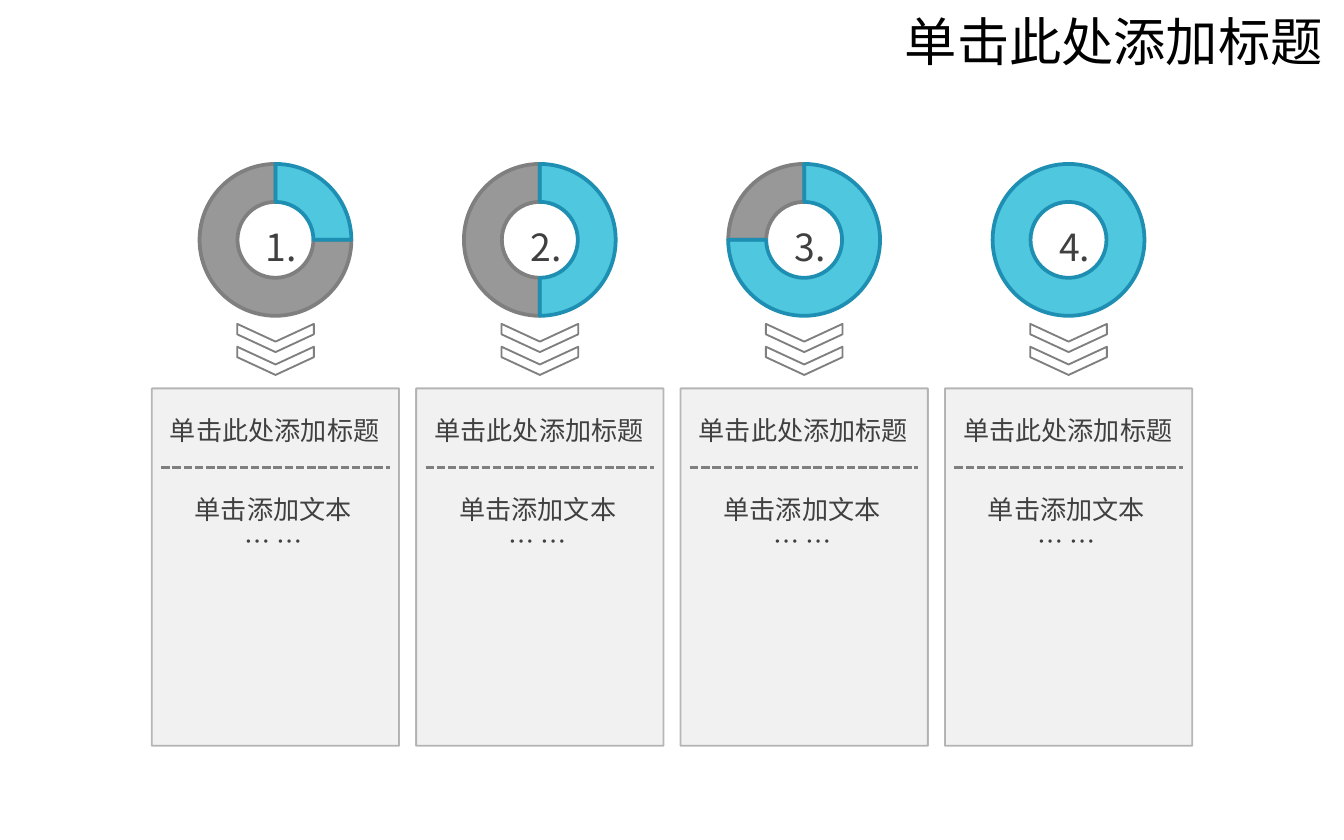
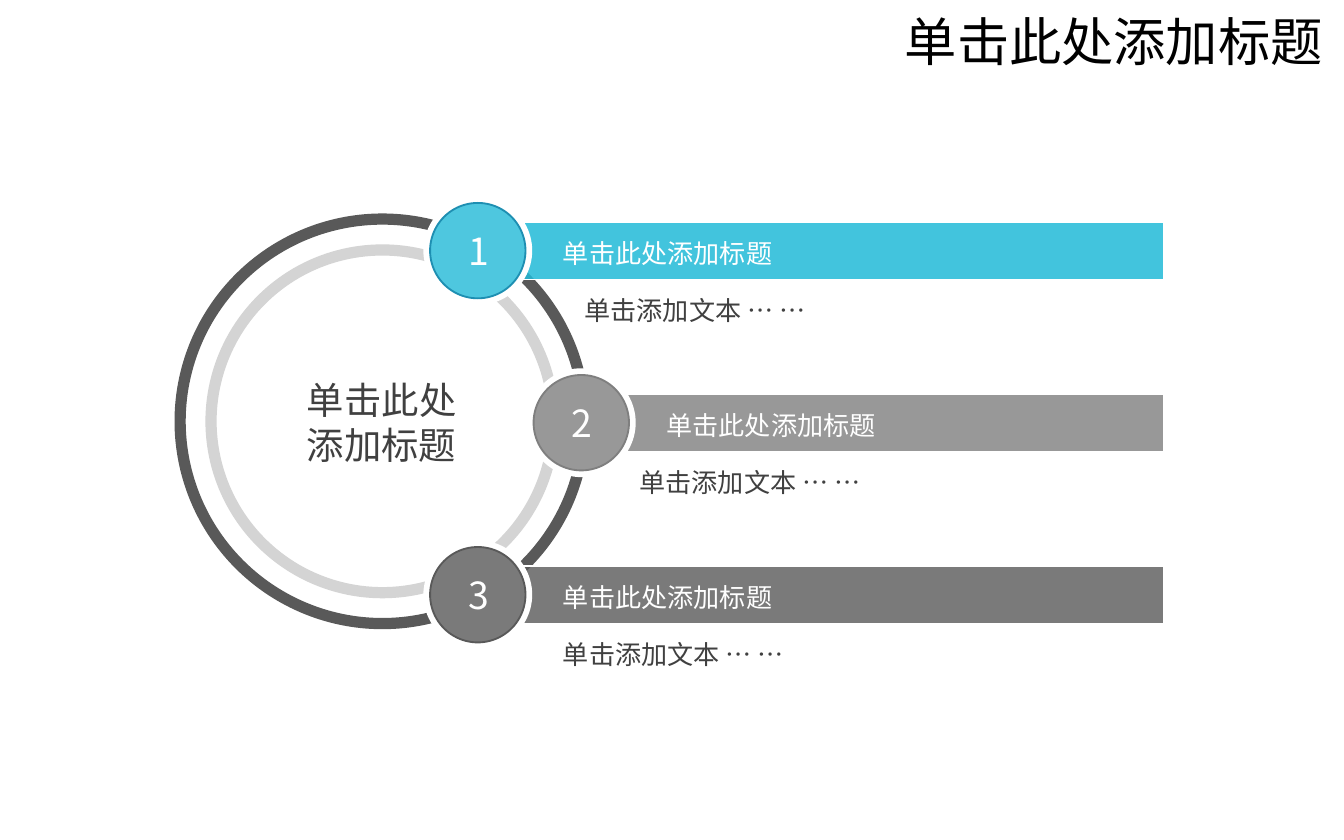
from lxml import etree
from pptx import Presentation
from pptx.dml.color import RGBColor
from pptx.enum.dml import MSO_LINE
from pptx.enum.shapes import MSO_CONNECTOR, MSO_SHAPE
from pptx.enum.text import MSO_ANCHOR, MSO_AUTO_SIZE, PP_ALIGN
from pptx.oxml.ns import qn
from pptx.util import Inches, Pt

FONT = "Noto Sans CJK SC"
BLACK = RGBColor(0x00, 0x00, 0x00)
WHITE = RGBColor(0xFF, 0xFF, 0xFF)
INK = RGBColor(0x40, 0x40, 0x40)
CYAN = RGBColor(0x22, 0xBA, 0xD8)
CYAN_EDGE = RGBColor(0x1E, 0x8F, 0xB2)
GRAY = RGBColor(0x7F, 0x7F, 0x7F)
DARK_GRAY = RGBColor(0x59, 0x59, 0x59)

TITLE = "单击此处添加标题"
LINE_HEIGHT = 1.22


def set_opacity(properties, percent):
    """Make the solid colour held by a fill or line element see-through."""
    color = properties.find(qn("a:solidFill")).find(qn("a:srgbClr"))
    alpha = etree.SubElement(color, qn("a:alpha"))
    alpha.set("val", str(percent * 1000))


def write_text(frame, text, size=14, color=INK, align=PP_ALIGN.LEFT, line_height=LINE_HEIGHT):
    frame.word_wrap = True
    frame.auto_size = MSO_AUTO_SIZE.NONE
    frame.vertical_anchor = MSO_ANCHOR.TOP
    frame.text = text
    for paragraph in frame.paragraphs:
        paragraph.alignment = align
        paragraph.space_before = Pt(0)
        paragraph.line_spacing = Pt(round(size * line_height, 1))
        for run in paragraph.runs:
            run.font.size = Pt(size)
            run.font.name = FONT
            run.font.color.rgb = color
            east_asian = etree.SubElement(run._r.get_or_add_rPr(), qn("a:ea"))
            east_asian.set("typeface", FONT)


def add_text(slide, text, left, top, width, height, **text_format):
    box = slide.shapes.add_textbox(Inches(left), Inches(top), Inches(width), Inches(height))
    write_text(box.text_frame, text, **text_format)


def add_shape(slide, kind, left, top, width, height, fill=None, opacity=100,
              line=None, line_width=1, line_opacity=100, adjustments=()):
    shape = slide.shapes.add_shape(
        kind, Inches(left), Inches(top), Inches(width), Inches(height))
    shape.shadow.inherit = False
    for index, value in enumerate(adjustments):
        shape.adjustments[index] = value
    if fill is None:
        shape.fill.background()
    else:
        shape.fill.solid()
        shape.fill.fore_color.rgb = fill
        if opacity < 100:
            set_opacity(shape._element.spPr, opacity)
    if line is None:
        shape.line.fill.background()
    else:
        shape.line.color.rgb = line
        shape.line.width = Pt(line_width)
        if line_opacity < 100:
            set_opacity(shape._element.spPr.find(qn("a:ln")), line_opacity)
    return shape


def add_dashed_line(slide, left, top, width):
    connector = slide.shapes.add_connector(
        MSO_CONNECTOR.STRAIGHT, Inches(left), Inches(top), Inches(left + width), Inches(top))
    connector.line.color.rgb = GRAY
    connector.line.width = Pt(1.5)
    connector.line.dash_style = MSO_LINE.SQUARE_DOT
    etree.SubElement(connector._element.spPr, qn("a:effectLst"))


def add_titled_slide(presentation):
    slide = presentation.slides.add_slide(presentation.slide_layouts[5])
    title = slide.shapes.title
    title.left, title.top = Inches(5.7), Inches(-0.1)
    title.width, title.height = Inches(4.24), Inches(0.66)
    write_text(title.text_frame, TITLE, size=28, color=BLACK,
               align=PP_ALIGN.RIGHT, line_height=1.5)
    return slide


def add_progress_ring(slide, left, top, quarters):
    """Ring with the given number of quarters lit, clockwise from the top."""
    size, thickness = 1.13, 0.25
    lit = dict(fill=CYAN, opacity=80, line=CYAN_EDGE, line_width=2)
    unlit = dict(fill=GRAY, opacity=80, line=GRAY, line_width=2)
    if quarters == 4:
        add_shape(slide, MSO_SHAPE.DONUT, left, top, size, size,
                  adjustments=[thickness], **lit)
    else:
        start, end = 270, (270 + 90 * quarters) % 360
        for first, last, style in ((end, start, unlit), (start, end, lit)):
            # Block arc angles are stored as 0.6 per degree
            add_shape(slide, MSO_SHAPE.BLOCK_ARC, left, top, size, size,
                      adjustments=[first * 0.6, last * 0.6, thickness], **style)
    add_text(slide, f"{quarters}.", left + 0.26, top + 0.39, 0.7, 0.44,
             size=20, align=PP_ALIGN.CENTER)


def add_down_chevrons(slide, center, top):
    length, breadth = 0.21, 0.57
    for index in range(2):
        middle = top + breadth / 2 + index * 0.17
        chevron = add_shape(slide, MSO_SHAPE.CHEVRON, center - length / 2,
                            middle - breadth / 2, length, breadth,
                            line=GRAY, adjustments=[0.63])
        chevron.rotation = 90


def add_card(slide, left, top, width, height):
    add_shape(slide, MSO_SHAPE.RECTANGLE, left, top, width, height,
              fill=GRAY, opacity=10, line=GRAY, line_opacity=55)
    add_text(slide, TITLE, left + 0.03, top + 0.14, 1.77, 0.34, align=PP_ALIGN.CENTER)
    add_dashed_line(slide, left + 0.07, top + 0.59, width - 0.14)
    add_text(slide, "单击添加文本\n… …", left + 0.02, top + 0.73, 1.77, 0.57,
             align=PP_ALIGN.CENTER)


def build_stages_slide(presentation):
    slide = add_titled_slide(presentation)
    card_width, gap = 1.84, 0.127
    for index in range(4):
        left = 1.13 + index * (card_width + gap)
        add_progress_ring(slide, left + 0.355, 1.22, quarters=index + 1)
        add_down_chevrons(slide, left + card_width / 2, 2.23)
        add_card(slide, left, 2.89, card_width, 2.66)


def add_hub(slide, left, top, size):
    inset = 0.23
    add_shape(slide, MSO_SHAPE.OVAL, left, top, size, size, line=DARK_GRAY, line_width=6)
    add_shape(slide, MSO_SHAPE.OVAL, left + inset, top + inset,
              size - 2 * inset, size - 2 * inset, fill=WHITE, opacity=25,
              line=DARK_GRAY, line_width=6, line_opacity=25)
    add_text(slide, TITLE, left + 0.75, top + 1.12, 1.5, 0.77,
             size=20, align=PP_ALIGN.CENTER)


def add_bar(slide, left, top, right, label_left, body_left, fill, opacity):
    add_shape(slide, MSO_SHAPE.RECTANGLE, left, top, right - left, 0.43,
              fill=fill, opacity=opacity, line=WHITE)
    add_text(slide, TITLE, label_left, top + 0.06, 2.09, 0.34, color=WHITE)
    add_text(slide, "单击添加文本 … …", body_left, top + 0.49, right - body_left, 0.34)


def add_number_disc(slide, number, left, top, fill, edge):
    size, rim = 0.81, 0.05
    add_shape(slide, MSO_SHAPE.OVAL, left, top, size, size, fill=WHITE)
    add_shape(slide, MSO_SHAPE.OVAL, left + rim, top + rim, size - 2 * rim, size - 2 * rim,
              fill=fill, opacity=80, line=edge)
    add_text(slide, str(number), left, top + 0.18, 0.82, 0.44,
             size=20, color=WHITE, align=PP_ALIGN.CENTER)


def build_hub_slide(presentation):
    slide = add_titled_slide(presentation)
    add_hub(slide, 1.34, 1.63, 3.01)
    # Disc left, bar left, label left, body left, fill, edge, bar opacity
    items = [
        (3.15, 3.88, 4.09, 4.25, CYAN, CYAN_EDGE, 85),
        (3.92, 4.59, 4.86, 4.66, GRAY, GRAY, 80),
        (3.15, 3.88, 4.09, 4.09, DARK_GRAY, DARK_GRAY, 80),
    ]
    for index, item in enumerate(items):
        disc_left, bar_left, label_left, body_left, fill, edge, opacity = item
        top = 1.46 + index * 1.28
        add_bar(slide, bar_left, top + 0.19, 8.66, label_left, body_left, fill, opacity)
        add_number_disc(slide, index + 1, disc_left, top, fill, edge)


def main():
    presentation = Presentation()
    presentation.slide_width = Inches(10)
    presentation.slide_height = Inches(6.25)
    build_stages_slide(presentation)
    build_hub_slide(presentation)
    presentation.save("out.pptx")


if __name__ == "__main__":
    main()
